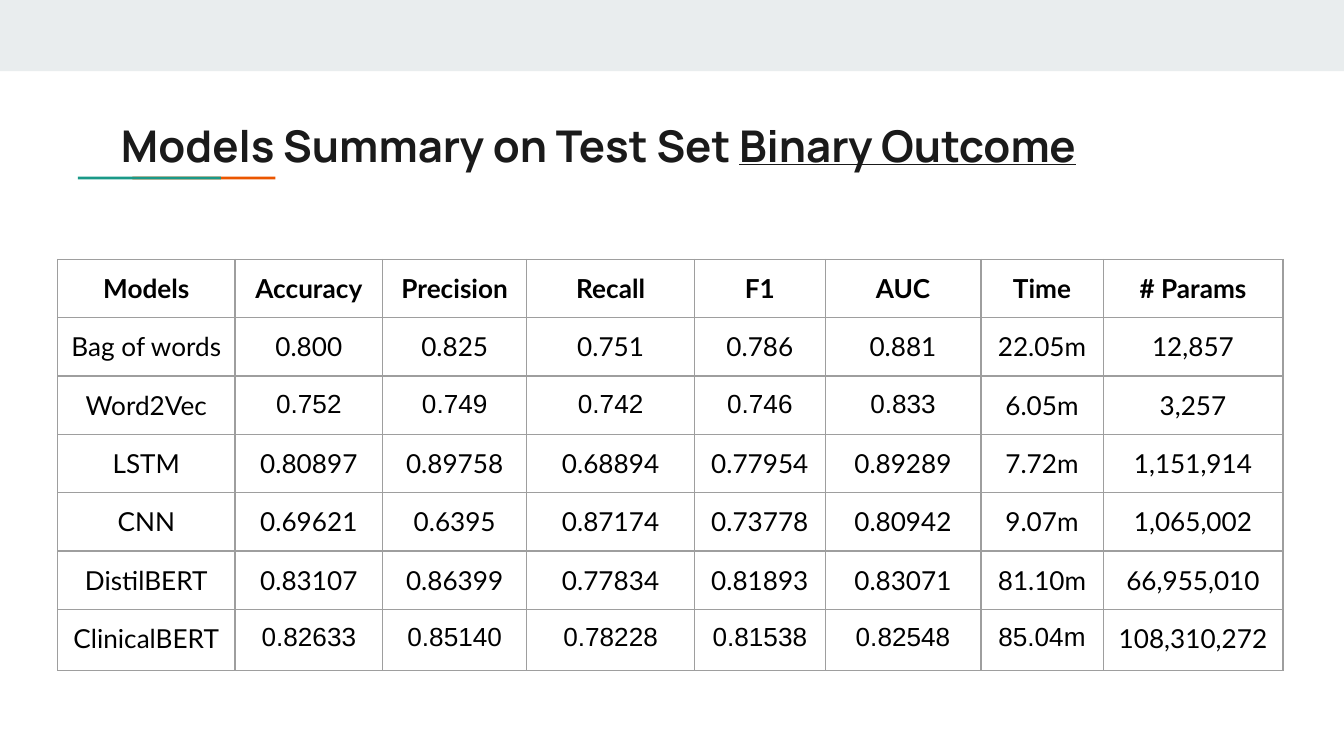
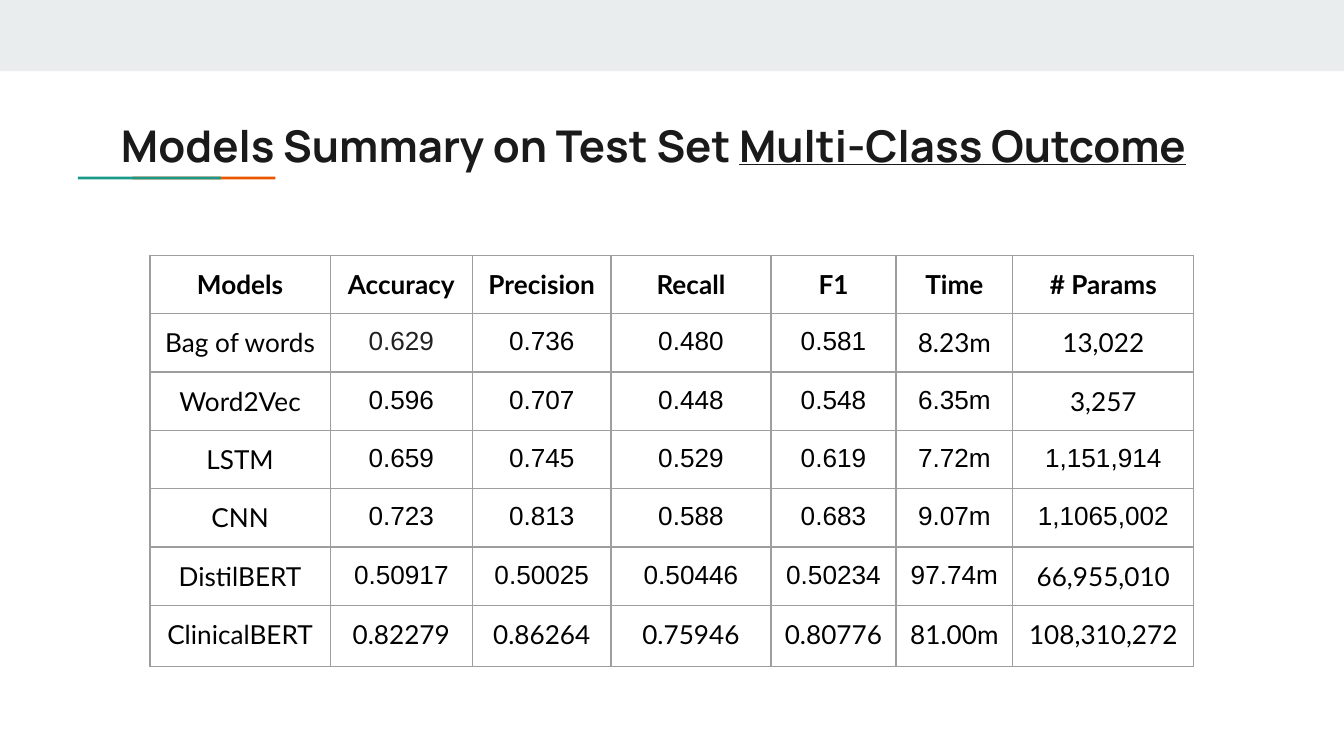
from lxml import etree
from pptx import Presentation
from pptx import util as u
from pptx.dml import color
from pptx.enum import shapes, text
from pptx.oxml import ns

COLORS = {"band": "E9EDEE", "orange": "EB5600", "teal": "1A9988", "title": "1A1A1A",
          "text": "000000", "soft": "212121", "border": "9E9E9E"}
TITLE_FONT, CELL_FONT, NUMBER_FONT = "Manrope", "Lato", "Arial"
TITLE_START = "Models Summary on Test Set "
PAD = 7.2
ROW_H, LAST_ROW_H = 31.1, 32.7

# (colour, left, top, width, height), back to front
DECOR = [
    ("band", 0, 0, 720, 38.2),
    ("orange", 71, 94.6, 76.6, 1.6),
    ("teal", 41.8, 94.6, 76.6, 1.6),
]

# "arial" counts, row by row, the cells after the model name set in NUMBER_FONT
SLIDES = [
    {
        "outcome": "Binary Outcome", "title_w": 570.2, "at": (30.9, 139),
        "cols": [95, 79.2, 77.1, 90, 69.9, 83.5, 65.5, 96.3],
        "arial": [0, 0, 5, 0, 0, 0, 6],
        "soft": [],
        "rows": [
            ["Models", "Accuracy", "Precision", "Recall", "F1", "AUC", "Time", "# Params"],
            ["Bag of words", "0.800", "0.825", "0.751", "0.786", "0.881", "22.05m", "12,857"],
            ["Word2Vec", "0.752", "0.749", "0.742", "0.746", "0.833", "6.05m", "3,257"],
            ["LSTM", "0.80897", "0.89758", "0.68894", "0.77954", "0.89289", "7.72m", "1,151,914"],
            ["CNN", "0.69621", "0.6395", "0.87174", "0.73778", "0.80942", "9.07m", "1,065,002"],
            ["DistilBERT", "0.83107", "0.86399", "0.77834", "0.81893", "0.83071", "81.10m",
             "66,955,010"],
            ["ClinicalBERT", "0.82633", "0.85140", "0.78228", "0.81538", "0.82548", "85.04m",
             "108,310,272"],
        ],
    },
    {
        "outcome": "Multi-Class Outcome", "title_w": 586.8, "at": (80.4, 136.8),
        "cols": [96.5, 76.3, 74.2, 85.7, 67, 62.6, 97],
        "arial": [0, 4, 5, 6, 6, 5, 0],
        "soft": [(1, 1)],
        "rows": [
            ["Models", "Accuracy", "Precision", "Recall", "F1", "Time", "# Params"],
            ["Bag of words", "0.629", "0.736", "0.480", "0.581", "8.23m", "13,022"],
            ["Word2Vec", "0.596", "0.707", "0.448", "0.548", "6.35m", "3,257"],
            ["LSTM", "0.659", "0.745", "0.529", "0.619", "7.72m", "1,151,914"],
            ["CNN", "0.723", "0.813", "0.588", "0.683", "9.07m", "1,1065,002"],
            ["DistilBERT", "0.50917", "0.50025", "0.50446", "0.50234", "97.74m", "66,955,010"],
            ["ClinicalBERT", "0.82279", "0.86264", "0.75946", "0.80776", "81.00m", "108,310,272"],
        ],
    },
]


def rgb(name):
    return color.RGBColor.from_string(COLORS[name])


def add_run(p, content, font, size, name, bold=False, underline=None):
    r = p.add_run()
    r.text = content
    f = r.font
    f.name, f.size, f.bold, f.underline = font, u.Pt(size), bold, underline
    f.color.rgb = rgb(name)


def set_margins(box):
    box.margin_left = box.margin_right = box.margin_top = box.margin_bottom = u.Pt(PAD)


def decorate_layout(layout, slide):
    """Draw the shared band and accent on a slide, then move them to its layout."""
    for i, (name, *box) in enumerate(DECOR):
        sp = slide.shapes.add_shape(shapes.MSO_SHAPE.RECTANGLE, *map(u.Pt, box))
        sp.shadow.inherit = False
        sp.fill.solid()
        sp.fill.fore_color.rgb = rgb(name)
        sp.line.fill.background()
        layout.shapes.element.insert(2 + i, sp.element)


def add_title(slide, outcome, width):
    title = slide.shapes.title
    title.left, title.top = u.Pt(57.6), u.Pt(56.2)
    title.width, title.height = u.Pt(width), u.Pt(42.5)
    tf = title.text_frame
    set_margins(tf)
    tf.word_wrap = True
    tf.auto_size = text.MSO_AUTO_SIZE.NONE
    tf.vertical_anchor = text.MSO_ANCHOR.MIDDLE
    p = tf.paragraphs[0]
    p.alignment = text.PP_ALIGN.LEFT
    add_run(p, TITLE_START, TITLE_FONT, 23.4, "title", bold=True)
    add_run(p, outcome, TITLE_FONT, 23.4, "title", bold=True, underline=True)


def add_borders(frame):
    for tc in frame.element.iter(ns.qn("a:tc")):
        tc_pr = tc.get_or_add_tcPr()
        for i, side in enumerate(("lnL", "lnR", "lnT", "lnB")):
            ln = etree.Element(ns.qn(f"a:{side}"), w=str(u.Pt(0.75)))
            fill = etree.SubElement(ln, ns.qn("a:solidFill"))
            etree.SubElement(fill, ns.qn("a:srgbClr"), val=COLORS["border"])
            tc_pr.insert(i, ln)


def add_model_table(slide, data):
    rows, cols = data["rows"], data["cols"]
    heights = [ROW_H] * (len(rows) - 1) + [LAST_ROW_H]
    box = (*data["at"], sum(cols), sum(heights))
    frame = slide.shapes.add_table(len(rows), len(cols), *map(u.Pt, box))
    table = frame.table
    table.first_row = table.horz_banding = False
    for column, width in zip(table.columns, cols):
        column.width = u.Pt(width)
    for i, (values, height) in enumerate(zip(rows, heights)):
        table.rows[i].height = u.Pt(height)
        for j, value in enumerate(values):
            cell = table.cell(i, j)
            cell.fill.background()
            set_margins(cell)
            p = cell.text_frame.paragraphs[0]
            p.alignment = text.PP_ALIGN.CENTER
            font = NUMBER_FONT if 1 <= j <= data["arial"][i] else CELL_FONT
            name = "soft" if (i, j) in data["soft"] else "text"
            add_run(p, value, font, 14, name, bold=i == 0)
    add_borders(frame)


def main():
    prs = Presentation()
    prs.slide_width, prs.slide_height = u.Pt(720), u.Pt(405)
    layout = prs.slide_layouts.get_by_name("Title Only")
    for i, data in enumerate(SLIDES):
        s = prs.slides.add_slide(layout)
        if i == 0:
            decorate_layout(layout, s)
        add_title(s, data["outcome"], data["title_w"])
        add_model_table(s, data)
    prs.save("out.pptx")


if __name__ == "__main__":
    main()
